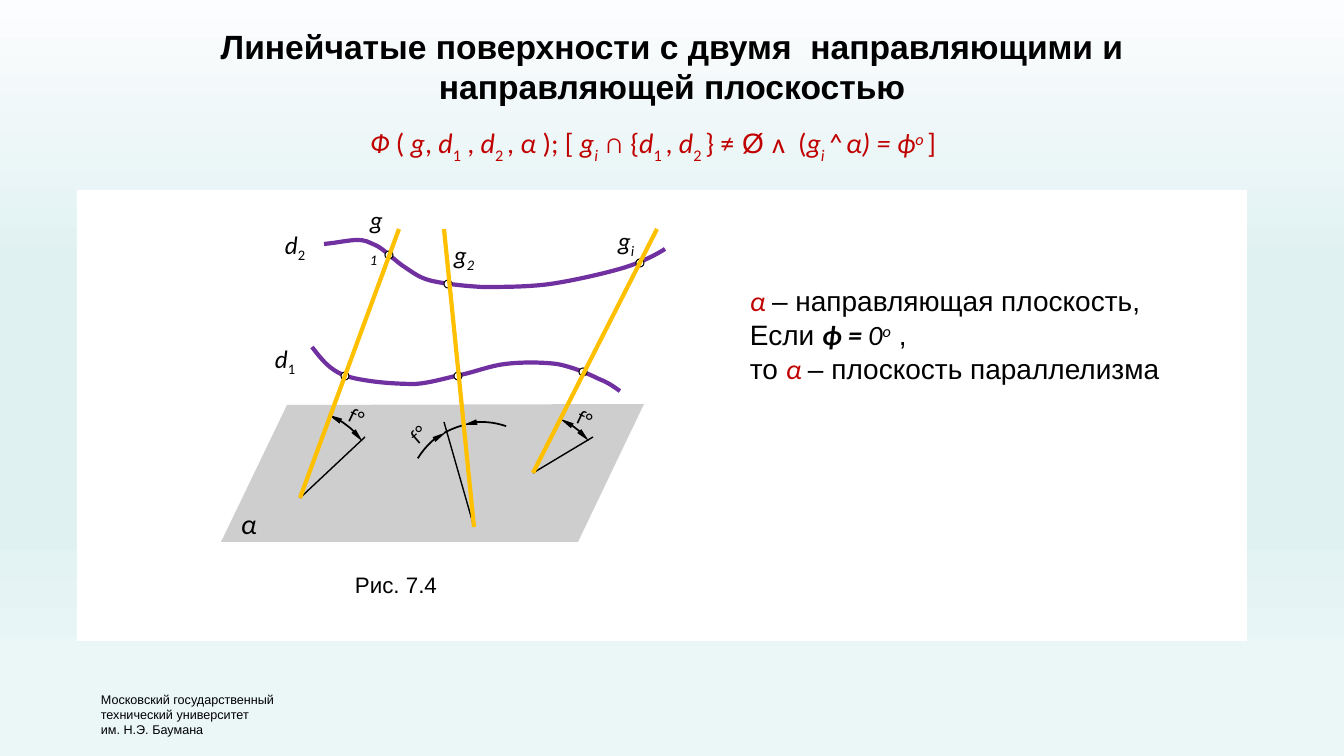
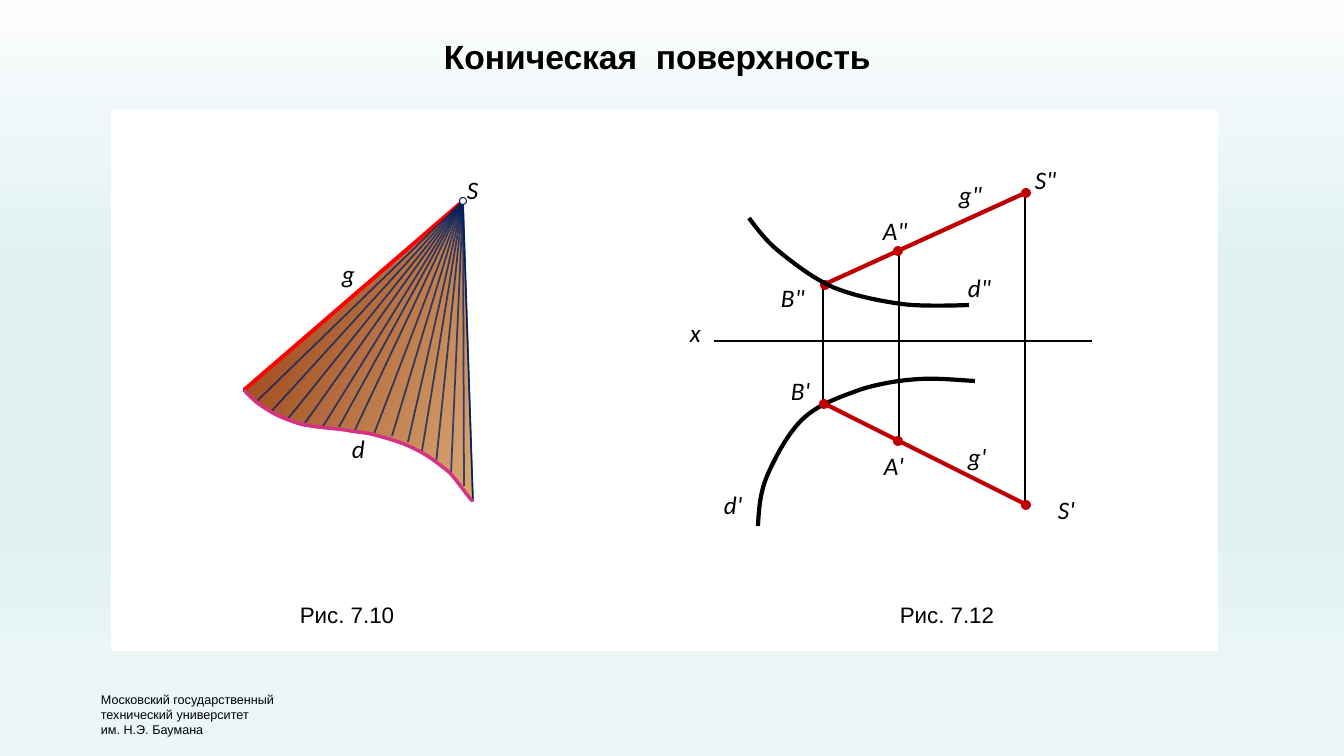
from dataclasses import dataclass, replace

from lxml.etree import SubElement
from pptx import Presentation
from pptx.dml.color import RGBColor
from pptx.enum.shapes import MSO_CONNECTOR as Connector, MSO_SHAPE as Preset
from pptx.enum.text import MSO_AUTO_SIZE as AutoSize, PP_ALIGN as Align
from pptx.oxml.ns import qn
from pptx.util import Emu, Pt

WIDTH, HEIGHT = 1344, 756
SCALE = 12192000 / WIDTH
BLACK, WHITE, RED = "000000", "FFFFFF", "C00000"
PURPLE, YELLOW, NAVY = "7030A0", "FFC000", "002060"
BACKGROUND = [(0, "FCFDFE"), (35, "E0F1F2"), (67, "E0F1F2"), (69, "E0F1F2"),
              (88, "EBF6F7"), (100, "EBF6F7")]
CONE_SHADES = [(0, "DDA967"), (8, "D49E6C"), (72, "A65528"), (100, "8A4520")]


@dataclass(frozen=True)
class Style:
    size: int
    font: str = "Arial"
    color: str = BLACK
    bold: bool = False
    italic: bool = False
    baseline: int = 0


TITLE = Style(24, bold=True)
BODY = Style(20)
CAPTION = Style(16)
FOOTER = Style(9)
ANGLE = Style(14, "Lato")
LABEL = Style(18, "Calibri", italic=True)
ROMAN = Style(20, "Calibri", RED)
ITALIC = replace(ROMAN, italic=True)
SUB = replace(ROMAN, baseline=-25)
ITALIC_SUB = replace(ITALIC, baseline=-25)
ITALIC_SUP = replace(ITALIC, baseline=30)
BLACK_ITALIC = replace(ITALIC, color=BLACK)

FORMULA = [
    ("Ф", ITALIC), (" ( ", ROMAN), ("g", ITALIC), (", ", ROMAN), ("d", ITALIC), ("1", SUB),
    (" , ", ROMAN), ("d", ITALIC), ("2 ", SUB), (", ", ROMAN), ("α ", ITALIC), ("); [ ", ROMAN),
    ("g", ITALIC), ("i", ITALIC_SUB), (" ∩ {", ROMAN), ("d", ITALIC), ("1 ", SUB), (", ", ROMAN),
    ("d", ITALIC), ("2 ", SUB), ("} ≠", ROMAN), (" Ø ", replace(ROMAN, font="Arial")),
    ("ᴧ  (", ROMAN), ("g", ITALIC), ("i ", ITALIC_SUB), ("^", ITALIC), (" ", ITALIC_SUB),
    ("α) = ϕ", ITALIC), ("o ", ITALIC_SUP), ("]", ROMAN),
]
NOTE = [
    [("α ", ITALIC), ("– направляющая плоскость,", BODY)],
    [("Если ", BODY), ("ϕ = ", replace(BLACK_ITALIC, bold=True)), ("0", BLACK_ITALIC),
     ("o", replace(BLACK_ITALIC, baseline=30)), (" ,", BODY)],
    [("то ", BODY), ("α ", ITALIC), ("– плоскость параллелизма", BODY)],
]
UNIVERSITY = ["Московский государственный", "технический университет", "им. Н.Э. Баумана"]

UPPER_GUIDE = [
    (324, 244), (336, 243), (349, 240), (357, 240), (366, 240), (368, 242), (375, 245),
    (383, 248), (396, 262), (406, 268), (415, 274), (420, 278), (432, 281),
    (446, 284), (464, 286), (482, 287), (501, 287), (522, 287), (542, 285),
    (563, 283), (603, 274), (623, 268), (643, 262), (659, 253), (665, 249),
]
LOWER_GUIDE = [
    (312, 347), (319, 356), (325, 364), (334, 370), (344, 377), (357, 379), (370, 381),
    (384, 383), (401, 384), (415, 384), (430, 383), (446, 378), (460, 375),
    (475, 372), (489, 366), (505, 364), (521, 362), (541, 362), (557, 364),
    (573, 367), (589, 374), (599, 379), (610, 383), (618, 390), (620, 391),
]
CONE_GUIDE = [
    (244, 390), (251, 398), (259, 405), (268, 410), (277, 416), (288, 420), (300, 424),
    (313, 427), (329, 428), (345, 430), (361, 433), (364, 432), (375, 435),
    (386, 438), (401, 442), (413, 448), (426, 454), (438, 463), (449, 472),
    (458, 481), (470, 500), (473, 501),
]
FRONT_GUIDE = [
    (749, 218), (758, 230), (767, 242), (781, 253), (796, 265), (814, 279), (835, 288),
    (855, 296), (880, 301), (902, 304), (924, 307), (969, 305), (969, 305),
]
PLAN_GUIDE = [
    (758, 526), (759, 509), (760, 492), (768, 474), (776, 456), (789, 431), (805, 417),
    (821, 403), (843, 396), (862, 389), (882, 383), (902, 380), (920, 379),
    (939, 378), (957, 380), (975, 381),
]
CONE_RULINGS = [
    (255, 403), (270, 413), (287, 420), (305, 423), (322, 428), (339, 427), (354, 432),
    (374, 434), (392, 436), (408, 442), (422, 451), (436, 464), (451, 474), (464, 486),
    (473, 501),
]


def px(value):
    return Emu(round(value * SCALE))


def rgb(color):
    return RGBColor.from_string(color)


def set_gradient(fill, element, stops, angle):
    fill.gradient()
    fill.gradient_angle = angle
    stop_list = next(element.iter(qn("a:gsLst")))
    for stop in list(stop_list):
        stop_list.remove(stop)
    for position, color in stops:
        stop = SubElement(stop_list, qn("a:gs"), pos=str(position * 1000))
        SubElement(stop, qn("a:srgbClr"), val=color)


def set_opacity(shape, percent):
    color = next(shape.element.spPr.iter(qn("a:srgbClr")))
    SubElement(color, qn("a:alpha"), val=str(percent * 1000))


def set_paint(shape, fill=None, outline=None, width=1):
    shape.shadow.inherit = False
    if fill:
        shape.fill.solid()
        shape.fill.fore_color.rgb = rgb(fill)
    else:
        shape.fill.background()
    if outline:
        shape.line.color.rgb = rgb(outline)
        shape.line.width = Pt(width)
    else:
        shape.line.fill.background()


def add_preset(slide, preset, box, fill=None, outline=None, width=1):
    shape = slide.shapes.add_shape(preset, *map(px, box))
    set_paint(shape, fill, outline, width)
    return shape


def add_dot(slide, preset, center, diameter, fill, outline=None):
    x, y = center
    box = (x - diameter / 2, y - diameter / 2, diameter, diameter)
    add_preset(slide, preset, box, fill, outline, 0.75)


def add_line(slide, start, end, color, width):
    line = slide.shapes.add_connector(Connector.STRAIGHT, *map(px, start + end))
    line.line.color.rgb = rgb(color)
    line.line.width = Pt(width)
    SubElement(line.element.spPr, qn("a:effectLst"))
    return line


def add_outline(slide, points, closed, fill=None, outline=None, width=1):
    vertices = [(px(x), px(y)) for x, y in points]
    builder = slide.shapes.build_freeform(*vertices[0], scale=1.0)
    builder.add_line_segments(vertices[1:], close=closed)
    shape = builder.convert_to_shape()
    set_paint(shape, fill, outline, width)
    return shape


def bend_segments(shape, straight=0):
    segments = list(shape.element.spPr.iter(qn("a:lnTo")))[straight:]
    for first in range(0, len(segments) - 2, 3):
        curve, *others = segments[first:first + 3]
        curve.tag = qn("a:cubicBezTo")
        for other in others:
            curve.append(other[0])
            other.getparent().remove(other)


def add_curve(slide, controls, color, width=3):
    bend_segments(add_outline(slide, controls, False, outline=color, width=width))


def add_arc(slide, corner, rotation, angles, arrows):
    arc = add_preset(slide, Preset.ARC, corner + (91, 49), outline=BLACK, width=1.25)
    arc.rotation = rotation
    for index, angle in enumerate(angles):
        arc.adjustments[index] = angle
    line = arc.element.spPr.find(qn("a:ln"))
    for arrow in arrows:
        SubElement(line, qn(f"a:{arrow}"), type="triangle", w="sm", len="lg")


def add_text(slide, box, paragraphs, align=Align.LEFT, wrap=False, rotation=0):
    shape = slide.shapes.add_textbox(*map(px, box))
    shape.rotation = rotation
    frame = shape.text_frame
    frame.word_wrap = wrap
    frame.auto_size = AutoSize.SHAPE_TO_FIT_TEXT
    for index, runs in enumerate(paragraphs):
        paragraph = frame.add_paragraph() if index else frame.paragraphs[0]
        paragraph.alignment = align
        for text, style in runs:
            run = paragraph.add_run()
            run.text = text
            font = run.font
            font.name, font.size = style.font, Pt(style.size)
            font.bold, font.italic = style.bold, style.italic
            font.color.rgb = rgb(style.color)
            if style.baseline:
                run._r.get_or_add_rPr().set("baseline", str(style.baseline * 1000))


def add_label(slide, x, y, width, text, index=None, index_italic=True):
    runs = [(text, LABEL)]
    if index:
        runs.append((index, replace(LABEL, italic=index_italic, baseline=-25)))
    add_text(slide, (x, y, width, 40), [runs])


def add_caption(slide, x, y, width, text):
    add_text(slide, (x, y, width, 37), [[(text, CAPTION)]], Align.CENTER)


def add_slide(presentation, panel, title, title_box, align, wrap):
    slide = presentation.slides.add_slide(presentation.slide_layouts[6])
    add_preset(slide, Preset.RECTANGLE, panel, WHITE)
    add_text(slide, title_box, [[(title, TITLE)]], align, wrap)
    add_text(slide, (91, 687, 200, 56), [[(line, FOOTER)] for line in UNIVERSITY])
    return slide


def build_ruled_surface(presentation):
    slide = add_slide(presentation, (77, 190, 1170, 451),
                      "Линейчатые поверхности с двумя  направляющими и направляющей плоскостью",
                      (161, 21, 1022, 92), Align.CENTER, True)
    add_text(slide, (360, 121, 612, 44), [FORMULA])
    add_text(slide, (740, 279, 434, 112), NOTE)
    plane = add_outline(slide, [(221, 542), (287, 405), (644, 404), (578, 542)], True, "B3B3B3")
    set_opacity(plane, 64)

    generators = [((399, 229), (300, 498), (365, 437)),
                  ((444, 229), (474, 527), (444, 422)),
                  ((657, 229), (533, 473), (593, 437))]
    for top, foot, projection in generators:
        add_line(slide, foot, projection, BLACK, 1)
    for guide in (UPPER_GUIDE, LOWER_GUIDE):
        add_curve(slide, guide, PURPLE)
    for center in [(345, 376), (458, 376), (448, 284), (583, 372), (640, 263), (389, 255)]:
        add_dot(slide, Preset.FLOWCHART_CONNECTOR, center, 8, WHITE, BLACK)
    for corner, rotation, angles, arrows in [
        ((286, 420), 37.1, (136.25, 190.55), ("headEnd", "tailEnd")),
        ((515, 423), 37.1, (139.41, 186.15), ("headEnd", "tailEnd")),
        ((450, 424), 15.5, (120.39, 168.01), ("headEnd",)),
        ((422, 425), 343.4, (139.18, 168.01), ()),
        ((393, 447), 301.4, (162.66, 203.61), ("tailEnd",)),
    ]:
        add_arc(slide, corner, rotation, angles, arrows)
    for x, y, rotation in [(567, 404, 25.5), (339, 402, 25.5), (400, 415, 319.4)]:
        add_text(slide, (x, y, 43, 34), [[("f°", ANGLE)]], rotation=rotation)
    for top, foot, projection in generators:
        add_line(slide, top, foot, YELLOW, 3)

    add_text(slide, (231, 502, 38, 44), [[("α", BLACK_ITALIC)]])
    for label in [(265, 338, 45, "d", "1", False), (275, 224, 48, "d", "2", False),
                  (360, 199, 40, "g", "1"), (444, 234, 42, "g", "2"), (608, 220, 37, "g", "i")]:
        add_label(slide, *label)
    add_caption(slide, 344, 566, 104, "Рис. 7.4")


def draw_projections(slide):
    add_curve(slide, PLAN_GUIDE, BLACK)
    add_line(slide, (714, 341), (1092, 341), BLACK, 1.5)
    for x, top, bottom in [(1025, 193, 504), (823, 285, 403), (899, 252, 442)]:
        add_line(slide, (x, top), (x, bottom), BLACK, 1.25)
    for start, end in [((1025, 193), (823, 285)), ((823, 403), (1025, 504))]:
        add_line(slide, start, end, RED, 3)
    for center in [(1026, 193), (898, 441), (898, 251), (824, 404), (825, 285), (1026, 505)]:
        add_dot(slide, Preset.OVAL, center, 10, RED)
    add_curve(slide, FRONT_GUIDE, BLACK)


def draw_cone(slide):
    apex = (463, 201)
    cone = add_outline(slide, [apex] + CONE_GUIDE, True, WHITE, NAVY)
    bend_segments(cone, 1)
    set_gradient(cone.fill, cone.element, CONE_SHADES, 157)
    add_line(slide, apex, CONE_GUIDE[0], "FF0000", 2.75)
    for foot in CONE_RULINGS:
        set_opacity(add_line(slide, apex, foot, NAVY, 1.25), 75)
    add_curve(slide, CONE_GUIDE, "D73184", 2.5)
    add_dot(slide, Preset.FLOWCHART_CONNECTOR, (463, 201), 7, WHITE, NAVY)


def build_conical_surface(presentation):
    slide = add_slide(presentation, (111, 110, 1107, 541), "Коническая  поверхность",
                      (434, 31, 452, 51), Align.LEFT, False)
    draw_projections(slide)
    draw_cone(slide)
    for label in [
        (873, 210, 48, 'A"'), (771, 277, 46, 'B"'), (1025, 159, 50, 'S"'), (949, 174, 45, 'g"'),
        (958, 267, 45, 'd"'), (874, 445, 44, "A'"), (781, 370, 41, "B'"), (1048, 489, 42, "S'"),
        (958, 436, 40, "g'"), (714, 484, 40, "d'"), (680, 312, 33, "x"), (457, 169, 35, "S"),
        (332, 253, 33, "g"), (342, 428, 33, "d"),
    ]:
        add_label(slide, *label)
    add_caption(slide, 289, 596, 116, "Рис. 7.10")
    add_caption(slide, 889, 596, 116, "Рис. 7.12")


def main():
    presentation = Presentation()
    presentation.slide_width, presentation.slide_height = px(WIDTH), px(HEIGHT)
    master = presentation.slide_master
    set_gradient(master.background.fill, master.element, BACKGROUND, 270)
    build_ruled_surface(presentation)
    build_conical_surface(presentation)
    presentation.save("out.pptx")


if __name__ == "__main__":
    main()
